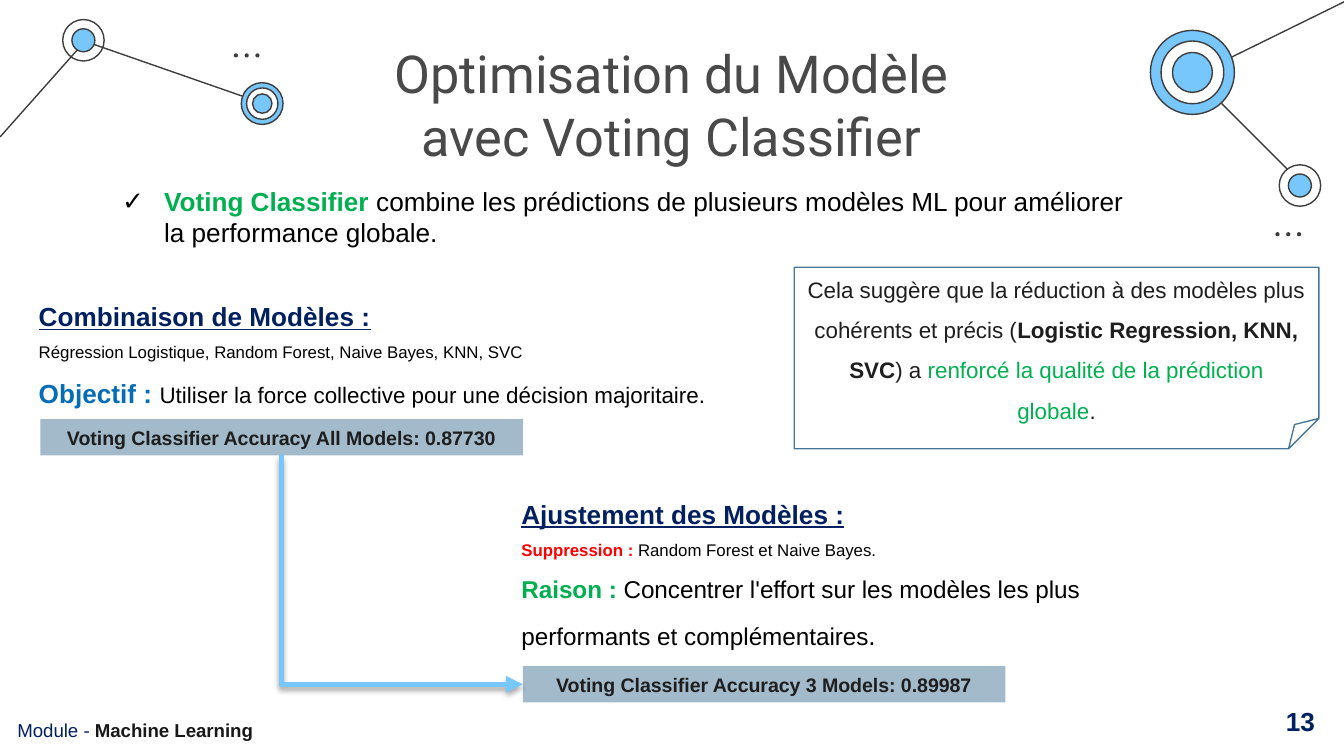
from lxml import etree
from pptx import Presentation
from pptx import util as u
from pptx.dml.color import RGBColor
from pptx.enum import shapes, text
from pptx.oxml.ns import qn

HUES = {
    "ink": "3D3D3D", "sky": "77C6FC", "white": "FFFFFF", "title": "494949",
    "navy": "002060", "dark": "181818", "soft": "1E1E1E", "black": "000000",
    "green": "00B050", "blue": "046DB5", "red": "FF0000", "steel": "477797",
}


class Deck:
    """Hold the style and the current slide, and draw each kind of element."""

    def __init__(self, wide, high):
        self.prs = Presentation()
        self.prs.slide_width, self.prs.slide_height = u.Pt(wide), u.Pt(high)
        self.slide = self.prs.slides.add_slide(self.prs.slide_layouts[6])
        self.face = "Arial"

    def hue(self, name):
        return RGBColor.from_string(HUES[name])

    def node(self, root, tag, **vals):
        return etree.SubElement(root, qn("a:" + tag), vals)

    def prose(self, shape, paras, align="LEFT", anchor="TOP", gap=None):
        frame = shape.text_frame
        frame.word_wrap = True
        frame.vertical_anchor = getattr(text.MSO_ANCHOR, anchor)
        for i, runs in enumerate(paras):
            para = frame.add_paragraph() if i else frame.paragraphs[0]
            para.alignment = getattr(text.PP_ALIGN, align)
            if gap:
                para.line_spacing = gap
            for words, size, color, *marks in runs:
                run = para.add_run()
                run.text = words
                form = {"name": self.face, "size": u.Pt(size),
                        "bold": "b" in marks, "underline": "u" in marks}
                for key, val in form.items():
                    setattr(run.font, key, val)
                run.font.color.rgb = self.hue(color)
        return shape

    def label(self, box, paras, **form):
        shape = self.slide.shapes.add_textbox(*map(u.Pt, box))
        return self.prose(shape, paras, **form)

    def check(self, shape):
        props = shape.text_frame.paragraphs[0]._p.get_or_add_pPr()
        for key, val in {"marL": 22.5, "indent": -22.5}.items():
            props.set(key, str(u.Pt(val)))
        tint = self.node(props, "buClr")
        self.node(tint, "srgbClr", val=HUES["black"])
        self.node(props, "buFont", typeface="Arial")
        self.node(props, "buChar", char="✓")

    def shape(self, kind, box, fill=None, line=None):
        item = self.slide.shapes.add_shape(
            getattr(shapes.MSO_SHAPE, kind), *map(u.Pt, box))
        item.shadow.inherit = False
        if fill:
            item.fill.solid()
            item.fill.fore_color.rgb = self.hue(fill)
        else:
            item.fill.background()
        if line:
            item.line.color.rgb = self.hue(line)
            item.line.width = u.Pt(0.75)
        else:
            item.line.fill.background()
        return item

    def rings(self, x, y, *parts):
        for size, fill in parts:
            self.shape("OVAL", (x - size / 2, y - size / 2, size, size),
                       fill, "ink")

    def dots(self, x, y):
        for i in range(3):
            self.shape("OVAL", (x + 5.76 * i, y, 2.2, 2.2), "ink")

    def score(self, box, words):
        bar = self.shape("RECTANGLE", box, "steel")
        tint = bar._element.spPr.find(".//" + qn("a:srgbClr"))
        self.node(tint, "alpha", val="50000")
        return self.prose(bar, [[(words, 10.5, "soft", "b")]],
                          align="CENTER", anchor="MIDDLE")

    def line(self, ends, color="ink", width=0.75, kind="STRAIGHT"):
        wire = self.slide.shapes.add_connector(
            getattr(shapes.MSO_CONNECTOR, kind), *map(u.Pt, ends))
        wire.line.color.rgb = self.hue(color)
        wire.line.width = u.Pt(width)
        return wire, self.node(wire._element.spPr, "effectLst")

    def elbow(self, start, stop):
        x, y = start.left + start.width // 2, start.top + start.height
        wide, high = stop.left - x, stop.top + stop.height // 2 - y
        wire, glow = self.line((0, 0, 1, 1), "sky", 3, "ELBOW")
        wire.begin_connect(start, 2)
        wire.end_connect(stop, 1)
        form = {"left": x + (wide - high) // 2, "top": y + (high - wide) // 2,
                "width": high, "height": wide}
        for key, val in form.items():
            setattr(wire, key, val)
        props = wire._element.spPr
        props.find(qn("a:prstGeom")).set("prst", "bentConnector2")
        for key, val in {"rot": "16200000", "flipH": "1"}.items():
            props.find(qn("a:xfrm")).set(key, val)
        self.node(props.find(qn("a:ln")), "tailEnd", type="triangle")
        cast = self.node(glow, "outerShdw", blurRad=str(u.Pt(3.1)),
                         dist=str(u.Pt(1.8)), dir="5400000", rotWithShape="0")
        tint = self.node(cast, "srgbClr", val=HUES["black"])
        self.node(tint, "alpha", val="35000")


def main():
    deck = Deck(720, 405)
    for ends in ((696.2, 97.2, 638.6, 39.6), (46, 22.3, 141, 55.4),
                 (0, 73.4, 46, 21.6), (720.7, 0.7, 641.5, 39.6)):
        deck.line(ends)
    deck.rings(44.7, 21.6, (22.2, None), (12.3, "sky"))
    deck.rings(140.5, 55.5, (22.4, "sky"), (16.8, "white"), (10.4, "sky"))
    deck.dots(125.3, 28.6)
    deck.rings(638.8, 38.8, (45, "sky"), (33.6, "white"), (21.4, "sky"))
    deck.rings(696.4, 99.4, (22.2, "white"), (12.3, "sky"))
    deck.dots(683.3, 124.4)

    deck.face = "Roboto"
    head = deck.label((190.8, 15.1, 337.7, 46.8), [[
        ("Optimisation du Modèle avec Voting Classifier", 28, "title")]],
        align="CENTER")
    for side in ("left", "top", "right", "bottom"):
        setattr(head.text_frame, "margin_" + side, u.Pt(7.2))
    deck.face = "Arial"

    deck.label((681.8, 374.4, 36, 24.5), [[("13", 14, "navy", "b")]])
    deck.label((2.2, 381.6, 144.7, 19.4), [[
        ("Module - ", 10, "navy"), ("Machine Learning", 10, "dark", "b")]])
    deck.check(deck.label((58.3, 95.8, 555.8, 41), [[
        ("Voting Classifier ", 14, "green", "b"),
        ("combine les prédictions de plusieurs modèles ML pour améliorer "
         "la performance globale.", 14, "black")]]))
    deck.label((13.7, 149, 413.3, 71.3), [
        [("Combinaison de Modèles :", 14, "navy", "b", "u")],
        [("Régression Logistique, Random Forest, Naive Bayes, KNN, SVC",
          9, "black")],
        [("Objectif : ", 14, "blue", "b"),
         ("Utiliser la force collective pour une décision majoritaire.",
          12, "black")]], gap=1.5)
    deck.label((272.2, 254.9, 367.9, 95), [
        [("Ajustement des Modèles :", 14, "navy", "b", "u")],
        [("Suppression : ", 9, "red", "b"),
         ("Random Forest et Naive Bayes.", 9, "black")],
        [("Raison : ", 13, "green", "b"),
         ("Concentrer l'effort sur les modèles les plus performants et "
          "complémentaires", 13, "black"), (".", 14, "black")]], gap=1.5)

    full = deck.score((21.6, 224.6, 258.5, 19.4),
                      "Voting Classifier Accuracy All Models: 0.87730")
    trim = deck.score((280.1, 356.9, 258.5, 19.4),
                      "Voting Classifier Accuracy 3 Models: 0.89987")
    deck.elbow(full, trim)

    note = deck.shape("FOLDED_CORNER", (425.5, 143.2, 281, 97.2), line="steel")
    deck.prose(note, [[
        ("Cela suggère que la réduction à des modèles plus cohérents et "
         "précis (", 12, "soft"),
        ("Logistic Regression, KNN, SVC", 12, "soft", "b"),
        (") a ", 12, "soft"),
        ("renforcé la qualité de la prédiction globale", 12, "green"),
        (".", 12, "soft")]], align="CENTER", anchor="MIDDLE", gap=1.5)
    deck.prs.save("out.pptx")


if __name__ == "__main__":
    main()
